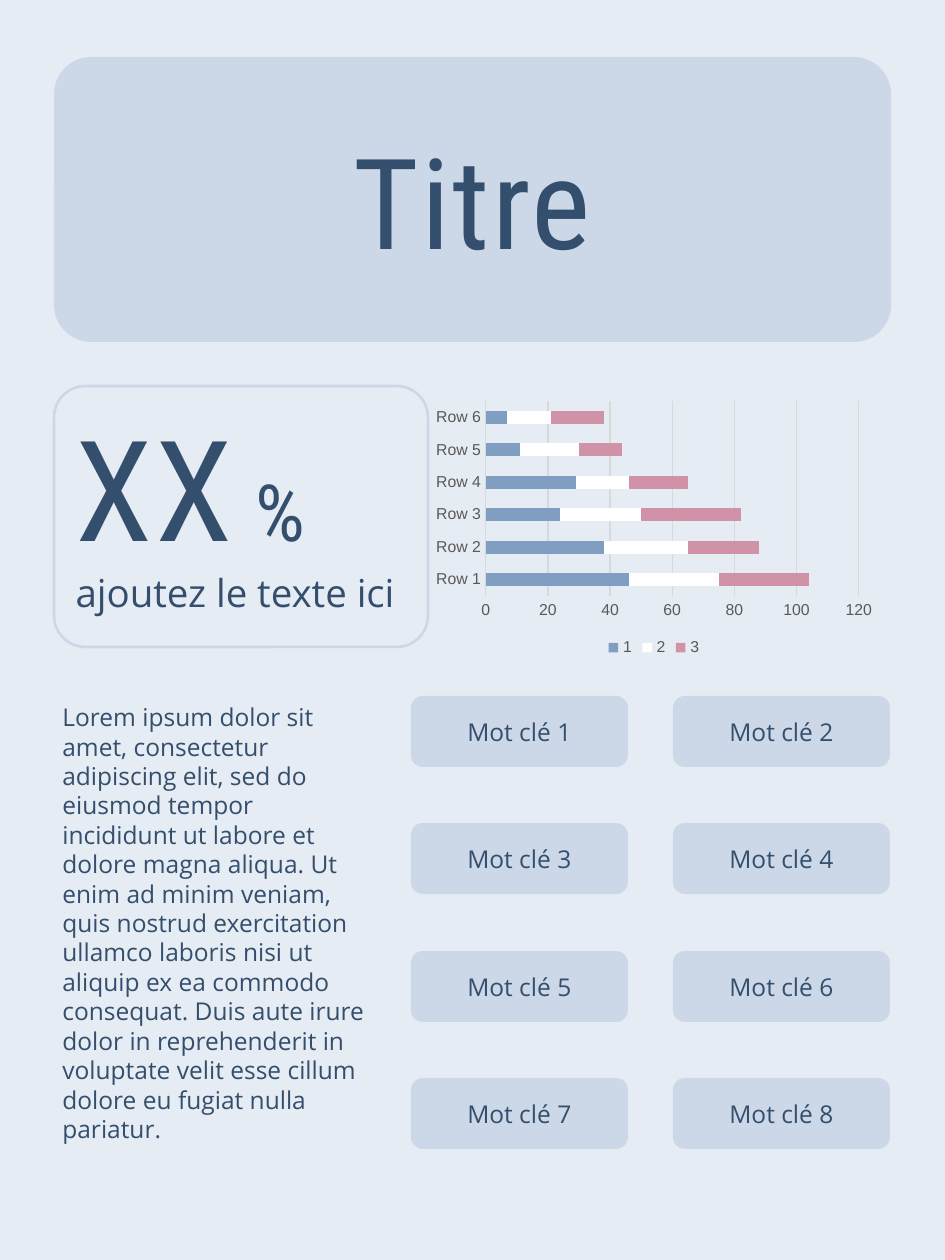
"""Build a portrait infographic with a title, a key figure, a stacked bar chart and keywords."""
from pptx import Presentation
from pptx.chart.data import CategoryChartData
from pptx.dml.color import RGBColor
from pptx.enum.chart import XL_CHART_TYPE, XL_LEGEND_POSITION, XL_TICK_MARK
from pptx.enum.shapes import MSO_SHAPE
from pptx.enum.text import MSO_ANCHOR, MSO_AUTO_SIZE, PP_ALIGN
from pptx.util import Pt

BACKGROUND = RGBColor(0xE6, 0xEC, 0xF3)
PANEL = RGBColor(0xCC, 0xD8, 0xE7)
INK = RGBColor(0x34, 0x4E, 0x6D)
BLUE = RGBColor(0x80, 0x9E, 0xC2)
WHITE = RGBColor(0xFF, 0xFF, 0xFF)
PINK = RGBColor(0xD0, 0x92, 0xA7)
GRAY = RGBColor(0x59, 0x59, 0x59)
GRID = RGBColor(0xD9, 0xD9, 0xD9)
ROUNDED = MSO_SHAPE.ROUNDED_RECTANGLE
BARS = XL_CHART_TYPE.BAR_STACKED
BOTTOM = XL_LEGEND_POSITION.BOTTOM
NO_TICK = XL_TICK_MARK.NONE
TOP, MIDDLE = MSO_ANCHOR.TOP, MSO_ANCHOR.MIDDLE
LEFT, CENTER = PP_ALIGN.LEFT, PP_ALIGN.CENTER
NO_FIT = MSO_AUTO_SIZE.NONE
HEAD, BODY = "Roboto Condensed", "Open Sans"
SCALE = 914400 / 126


def px(*lengths):
    return [round(n * SCALE) for n in lengths]


def add_run(p, text, size, face, spacing=0):
    r = p.add_run()
    r.text = text
    for key, value in {"size": Pt(size), "name": face, "bold": False}.items():
        setattr(r.font, key, value)
    r.font.color.rgb = INK
    if spacing:
        r._r.get_or_add_rPr().set("spc", str(spacing))


prs = Presentation()
prs.slide_width, prs.slide_height = px(945, 1260)
s = prs.slides.add_slide(prs.slide_layouts[5])
s.background.fill.solid()
s.background.fill.fore_color.rgb = BACKGROUND

title_box = px(54, 57, 837, 285)
panel = s.shapes.add_shape(ROUNDED, *title_box)
panel.adjustments[0] = 0.13
panel.shadow.inherit = False
panel.fill.solid()
panel.fill.fore_color.rgb = PANEL
panel.line.fill.background()

title = s.shapes.title
title.left, title.top, title.width, title.height = title_box
title.element.addprevious(panel.element)
tf = title.text_frame
for key, value in {"vertical_anchor": MIDDLE, "auto_size": NO_FIT, "word_wrap": True}.items():
    setattr(tf, key, value)
tf.paragraphs[0].alignment = CENTER
add_run(tf.paragraphs[0], "Titre", 72, HEAD, 140)

figure = s.shapes.add_shape(ROUNDED, *px(54, 386, 374, 261))
figure.adjustments[0] = 0.12
figure.shadow.inherit = False
figure.fill.background()
figure.line.color.rgb = PANEL
figure.line.width = Pt(1.5)
tf = figure.text_frame
for key, value in {"vertical_anchor": TOP, "word_wrap": True}.items():
    setattr(tf, key, value)
p = tf.paragraphs[0]
p.alignment = LEFT
add_run(p, "XX", 80, HEAD, 140)
add_run(p, " %", 45, HEAD, 140)
p = tf.add_paragraph()
p.alignment = LEFT
add_run(p, "ajoutez le texte ici", 22, BODY)

data = CategoryChartData()
data.categories = [f"Row {i}" for i in range(1, 7)]
SERIES = [
    ("1", (46, 38, 24, 29, 11, 7), BLUE),
    ("2", (29, 27, 26, 17, 19, 14), WHITE),
    ("3", (29, 23, 32, 19, 14, 17), PINK),
]
for name, values, color in SERIES:
    data.add_series(name, values)
chart = s.shapes.add_chart(BARS, *px(427, 396, 454, 266), data).chart
chart.has_title = False
chart.has_legend = True
chart.legend.position = BOTTOM
chart.legend.include_in_layout = False
chart.font.size = Pt(10)
chart.font.name = "Arial"
plot = chart.plots[0]
for key, value in {"gap_width": 150, "overlap": 100, "vary_by_categories": False}.items():
    setattr(plot, key, value)
for series, (name, values, color) in zip(plot.series, SERIES):
    series.format.fill.solid()
    series.format.fill.fore_color.rgb = color
cat, val = chart.category_axis, chart.value_axis
for axis in (cat, val):
    axis.major_tick_mark = axis.minor_tick_mark = NO_TICK
for font in (cat.tick_labels.font, val.tick_labels.font, chart.legend.font):
    font.size = Pt(9)
    font.name = "Arial"
    font.color.rgb = GRAY
cat.has_major_gridlines = False
val.has_major_gridlines = True
for line in (cat.format.line, val.major_gridlines.format.line):
    line.color.rgb = GRID
    line.width = Pt(0.75)
val.format.line.fill.background()

tf = s.shapes.add_textbox(*px(50, 696, 328, 454)).text_frame
tf.word_wrap = True
add_run(
    tf.paragraphs[0],
    "Lorem ipsum dolor sit amet, consectetur adipiscing elit, sed do eiusmod tempor "
    "incididunt ut labore et dolore magna aliqua. Ut enim ad minim veniam, quis nostrud "
    "exercitation ullamco laboris nisi ut aliquip ex ea commodo consequat. Duis aute irure "
    "dolor in reprehenderit in voluptate velit esse cillum dolore eu fugiat nulla pariatur.",
    14,
    BODY,
)

for i in range(8):
    row, col = divmod(i, 2)
    sp = s.shapes.add_shape(ROUNDED, *px(411 + 262 * col, 696 + 255 * row // 2, 217, 71))
    sp.shadow.inherit = False
    sp.fill.solid()
    sp.fill.fore_color.rgb = PANEL
    sp.line.fill.background()
    sp.text_frame.vertical_anchor = MIDDLE
    p = sp.text_frame.paragraphs[0]
    p.alignment = CENTER
    add_run(p, f"Mot clé {i + 1}", 14, BODY)

prs.save("out.pptx")
